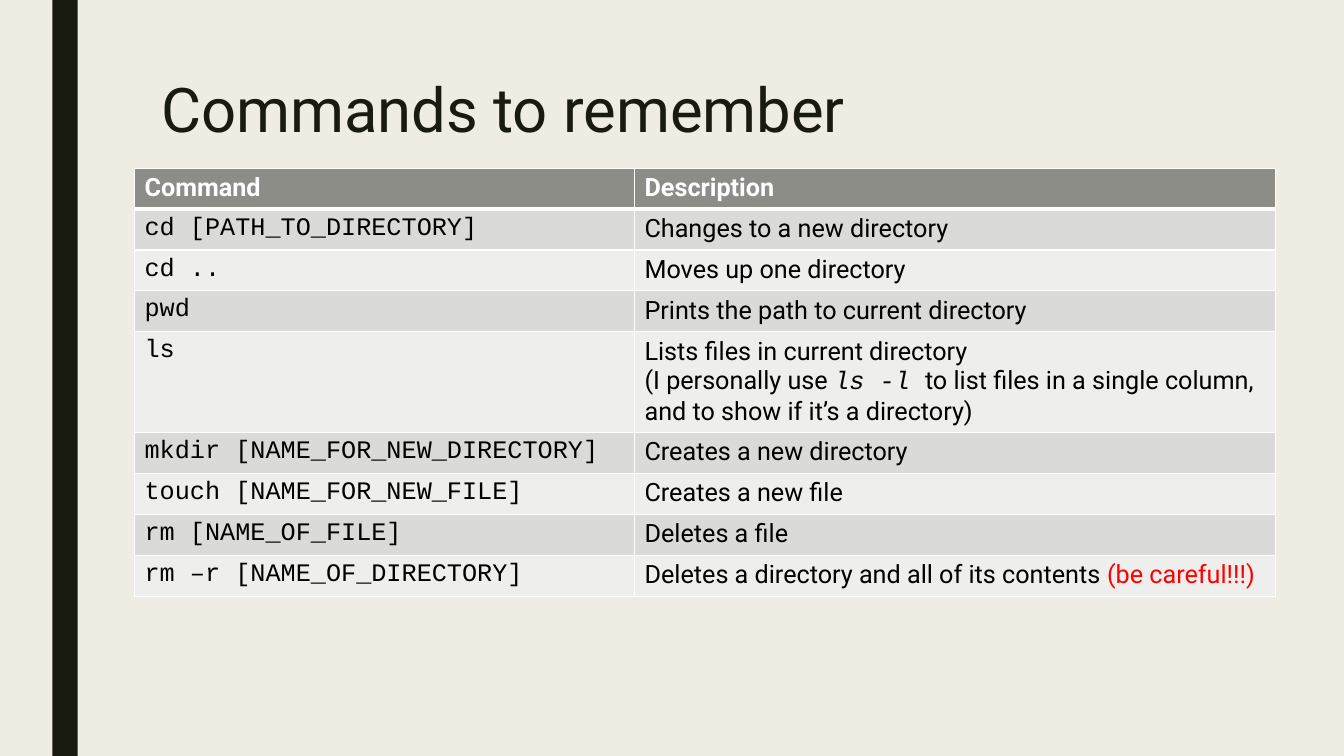
from lxml.etree import SubElement
from pptx import Presentation
from pptx.dml.color import RGBColor
from pptx.enum.shapes import MSO_SHAPE
from pptx.enum.text import MSO_ANCHOR
from pptx.oxml.ns import qn
from pptx.util import Cm, Pt

HUES = {"back": "EFEDE3", "ink": "191B0E", "head": "8C8D86", "odd": "DADBD9",
        "even": "EEEEED", "white": "FFFFFF", "black": "000000", "red": "FF0000"}

# Run formats
TEXT = {"name": "Roboto", "size": Pt(18), "bold": False, "hue": "black"}
CODE = {**TEXT, "name": "Courier New"}
SLANT = {**CODE, "italic": True}
ALERT = {**TEXT, "hue": "red"}
HEAD = {**TEXT, "bold": True, "hue": "white"}
TITLE = {**TEXT, "size": Pt(44), "hue": "ink"}


class Deck:
    def __init__(self, wide, high):
        self.file = Presentation()
        self.file.slide_width, self.file.slide_height = Cm(wide), Cm(high)
        self.slide = self.file.slides.add_slide(self.file.slide_layouts[6])
        self.paint(self.slide.background.fill, "back")

    def paint(self, fill, hue):
        fill.solid()
        fill.fore_color.rgb = RGBColor.from_string(HUES[hue])

    def put(self, frame, paras):
        """Each paragraph is a list of (text, format) pairs."""
        for n, runs in enumerate(paras):
            para = frame.add_paragraph() if n else frame.paragraphs[0]
            for text, form in runs:
                run = para.add_run()
                run.text = text
                for key, value in form.items():
                    if key == "hue":
                        run.font.color.rgb = RGBColor.from_string(HUES[value])
                    else:
                        setattr(run.font, key, value)

    def bar(self, hue, *box):
        shape = self.slide.shapes.add_shape(MSO_SHAPE.RECTANGLE, *map(Cm, box))
        shape.shadow.inherit = False
        self.paint(shape.fill, hue)
        shape.line.fill.background()

    def label(self, text, form, *box):
        frame = self.slide.shapes.add_textbox(*map(Cm, box)).text_frame
        frame.word_wrap = True
        frame.vertical_anchor = MSO_ANCHOR.TOP
        self.put(frame, [[(text, form)]])
        frame.paragraphs[0].line_spacing = 0.89

    def edge(self, cell, sides):
        props = cell._tc.get_or_add_tcPr()
        for side, width in sides.items():
            line = SubElement(props, qn(f"a:ln{side}"), w=str(Pt(width)))
            fill = SubElement(line, qn("a:solidFill"))
            SubElement(fill, qn("a:srgbClr"), val=HUES["white"])

    def grid(self, rows, left, top, cols, highs):
        table = self.slide.shapes.add_table(
            len(rows), len(cols), Cm(left), Cm(top),
            Cm(sum(cols)), Cm(sum(highs))).table
        for col, wide in zip(table.columns, cols):
            col.width = Cm(wide)
        for n, (row, high) in enumerate(zip(rows, highs)):
            table.rows[n].height = Cm(high)
            hue = ("odd" if n % 2 else "even") if n else "head"
            for cell, paras in zip(table.rows[n].cells, row):
                # Borders come before the fill in the cell's properties
                self.edge(cell, {"L": 1, "R": 1, "T": 3 if n == 1 else 1,
                                 "B": 1 if n else 3})
                self.paint(cell.fill, hue)
                self.put(cell.text_frame, paras)


# Table content: command and paragraphs of its description
NOTES = [
    ("cd [PATH_TO_DIRECTORY]", [[("Changes to a new directory", TEXT)]]),
    ("cd ..", [[("Moves up one directory", TEXT)]]),
    ("pwd", [[("Prints the path to current directory", TEXT)]]),
    ("ls", [[("Lists files in current directory", TEXT)],
            [("(I personally use ", TEXT), ("ls -l ", SLANT),
             ("to list files in a single column, "
              "and to show if it’s a directory)", TEXT)]]),
    ("mkdir [NAME_FOR_NEW_DIRECTORY]", [[("Creates a new directory", TEXT)]]),
    ("touch [NAME_FOR_NEW_FILE]", [[("Creates a new file", TEXT)]]),
    ("rm [NAME_OF_FILE]", [[("Deletes a file", TEXT)]]),
    ("rm –r [NAME_OF_DIRECTORY]",
     [[("Deletes a directory and all of its contents ", TEXT),
       ("(be careful!!!)", ALERT)]]),
]


def main():
    deck = Deck(33.87, 19.05)

    # Side bar and title
    deck.bar("ink", 1.32, 0, 0.64, 19.05)
    deck.label("Commands to remember", TITLE, 3.81, 1.9, 26.67, 2.34)

    # Table of commands
    rows = [[[[(name, HEAD)]] for name in ("Command", "Description")]]
    rows += [[[[(code, CODE)]], paras] for code, paras in NOTES]
    highs = [2.52 if len(row[1]) > 1 else 1.03 for row in rows]
    deck.grid(rows, 3.39, 4.24, (12.6, 16.15), highs)

    deck.file.save("out.pptx")


if __name__ == "__main__":
    main()
